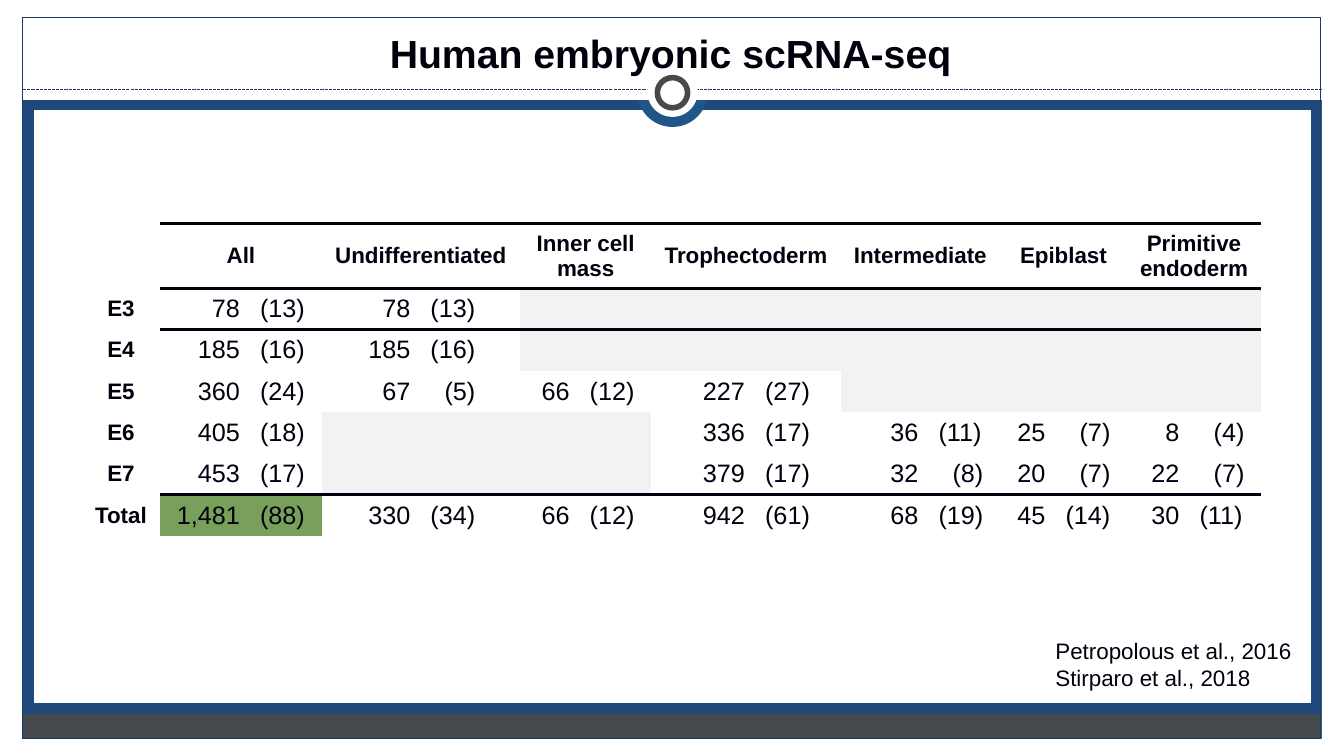
from dataclasses import dataclass
from typing import Optional

from lxml import etree
from pptx import Presentation
from pptx import util as u
from pptx.dml import color
from pptx.enum import dml, shapes, text
from pptx.oxml import ns

INK = "00010D"
WHITE = "FFFFFF"
NAVY = "1E3B66"
SLATE = "484A49"
SHADE = "F2F2F2"
GREEN = "78A05A"
FONT = "Arial"
RECT = shapes.MSO_SHAPE.RECTANGLE
OVAL = shapes.MSO_SHAPE.OVAL
NO_GRID_STYLE = "{2D5ABB26-0587-4C30-8999-92F81FD0307C}"
RULE_WIDTH = 2.25
MARGIN = 0.1
DIGIT_INDENT = 0.14


@dataclass
class Panel:
    kind: shapes.MSO_SHAPE
    left: float
    top: float
    width: float
    height: float
    fill: Optional[str] = None
    line: Optional[str] = None
    weight: float = 0.75
    opacity: int = 100


@dataclass
class Count:
    cells: str
    embryos: int


@dataclass
class Stage:
    label: str
    counts: list[Optional[Count]]
    edges: str = ""
    total_fill: Optional[str] = None


BACKDROP = [
    Panel(RECT, 0, 7.33, 13.33, 0.17, WHITE),
    Panel(RECT, 0, 0, 0.22, 7.5, WHITE),
    Panel(RECT, 13.11, 0, 0.22, 7.5, WHITE),
    Panel(RECT, 0.22, 7.08, 12.88, 0.25, SLATE, opacity=91),
    Panel(RECT, 0.34, 1.1, 12.66, 5.87, WHITE, WHITE),
    Panel(OVAL, 6.32, 0.56, 0.7, 0.7, "20558A"),
    Panel(RECT, 0, 0, 13.33, 0.99, WHITE),
]
MEDALLION = [
    Panel(OVAL, 6.42, 0.66, 0.5, 0.5, WHITE),
    Panel(RECT, 0.22, 0.17, 12.88, 7.16, line=NAVY),
    Panel(OVAL, 6.52, 0.77, 0.3, 0.3, WHITE, SLATE, 4),
]
LINEAGES = ["All", "Undifferentiated", "Inner cell\nmass", "Trophectoderm",
            "Intermediate", "Epiblast", "Primitive\nendoderm"]
COLUMN_WIDTHS = [0.78, 0.89, 0.71, 0.98, 0.99, 0.59, 0.71, 1.03,
                 0.85, 0.87, 0.71, 0.55, 0.71, 0.62, 0.71]
HEADER_HEIGHT = 0.64
STAGE_HEIGHT = 0.41
STAGES = [
    Stage("E3", [Count("78", 13), Count("78", 13)] + [None] * 5, "T"),
    Stage("E4", [Count("185", 16), Count("185", 16)] + [None] * 5),
    Stage("E5", [Count("360", 24), Count("67", 5), Count("66", 12),
                 Count("227", 27)] + [None] * 3),
    Stage("E6", [Count("405", 18), None, None, Count("336", 17),
                 Count("36", 11), Count("25", 7), Count("8", 4)]),
    Stage("E7", [Count("453", 17), None, None, Count("379", 17),
                 Count("32", 8), Count("20", 7), Count("22", 7)], "B"),
    Stage("Total", [Count("1,481", 88), Count("330", 34), Count("66", 12),
                    Count("942", 61), Count("68", 19), Count("45", 14),
                    Count("30", 11)], "T", GREEN),
]


def rgb(value: str) -> color.RGBColor:
    return color.RGBColor.from_string(value)


def paint(fill, value: Optional[str]) -> None:
    if value is None:
        fill.background()
    else:
        fill.solid()
        fill.fore_color.rgb = rgb(value)


def draw_panel(slide, panel: Panel) -> None:
    shape = slide.shapes.add_shape(
        panel.kind, u.Inches(panel.left), u.Inches(panel.top),
        u.Inches(panel.width), u.Inches(panel.height))
    shape.shadow.inherit = False
    paint(shape.fill, panel.fill)
    paint(shape.line.fill, panel.line)
    if panel.line:
        shape.line.width = u.Pt(panel.weight)
    if panel.opacity < 100:
        tint = shape.fill._xPr.find(".//" + ns.qn("a:srgbClr"))
        etree.SubElement(tint, ns.qn("a:alpha"), val=str(panel.opacity * 1000))


def draw_divider(slide) -> None:
    divider = slide.shapes.add_connector(
        shapes.MSO_CONNECTOR.STRAIGHT, u.Inches(0.23), u.Inches(0.89),
        u.Inches(13.11), u.Inches(0.89))
    divider.line.color.rgb = rgb(NAVY)
    divider.line.width = u.Pt(0.75)
    divider.line.dash_style = dml.MSO_LINE.SQUARE_DOT
    etree.SubElement(divider._element.spPr, ns.qn("a:effectLst"))


def write(frame, wording: str, size: float, bold: bool,
          align: text.PP_ALIGN) -> None:
    for index, line in enumerate(wording.split("\n")):
        paragraph = frame.add_paragraph() if index else frame.paragraphs[0]
        paragraph.alignment = align
        run = paragraph.add_run()
        run.text = line
        run.font.name = FONT
        run.font.size = u.Pt(size)
        run.font.bold = bold
        run.font.color.rgb = rgb(INK)


def add_words(slide, left: float, top: float, width: float, height: float,
              wording: str, size: float, bold: bool, align: text.PP_ALIGN,
              wrap: bool) -> None:
    frame = slide.shapes.add_textbox(
        u.Inches(left), u.Inches(top), u.Inches(width),
        u.Inches(height)).text_frame
    frame.word_wrap = wrap
    write(frame, wording, size, bold, align)


def style_cell(cell, edges: str = "", fill: Optional[str] = None) -> None:
    properties = cell._tc.get_or_add_tcPr()
    for edge in edges:
        rule = etree.SubElement(properties, ns.qn("a:ln" + edge),
                                w=str(u.Pt(RULE_WIDTH)))
        solid = etree.SubElement(rule, ns.qn("a:solidFill"))
        etree.SubElement(solid, ns.qn("a:srgbClr"), val=INK)
    paint(cell.fill, fill)
    cell.vertical_anchor = text.MSO_ANCHOR.MIDDLE


def fill_header(table) -> None:
    style_cell(table.cell(0, 0))
    for group, lineage in enumerate(LINEAGES):
        first, second = (table.cell(0, 2 * group + side) for side in (1, 2))
        style_cell(first, "TB")
        style_cell(second, "TB")
        first.merge(second)
        write(first.text_frame, lineage, 16, True, text.PP_ALIGN.CENTER)


def fill_stage(table, row: int, stage: Stage) -> None:
    label = table.cell(row, 0)
    style_cell(label)
    write(label.text_frame, stage.label, 16, True, text.PP_ALIGN.CENTER)
    for group, count in enumerate(stage.counts):
        number, embryos = (table.cell(row, 2 * group + side) for side in (1, 2))
        fill = SHADE if count is None else stage.total_fill if group == 0 else None
        style_cell(number, stage.edges, fill)
        style_cell(embryos, stage.edges, fill)
        if count is None:
            continue
        write(number.text_frame, count.cells, 18, False, text.PP_ALIGN.RIGHT)
        write(embryos.text_frame, f"({count.embryos})", 18, False,
              text.PP_ALIGN.LEFT)
        if count.embryos < 10:
            embryos.margin_left = u.Inches(MARGIN + DIGIT_INDENT)


def add_counts_table(slide) -> None:
    heights = [HEADER_HEIGHT] + [STAGE_HEIGHT] * len(STAGES)
    table = slide.shapes.add_table(
        len(heights), len(COLUMN_WIDTHS), u.Inches(0.81), u.Inches(2.22),
        u.Inches(sum(COLUMN_WIDTHS)), u.Inches(sum(heights))).table
    table.first_row = False
    table.horz_banding = False
    table._tbl.tblPr.find(ns.qn("a:tableStyleId")).text = NO_GRID_STYLE
    for column, width in zip(table.columns, COLUMN_WIDTHS):
        column.width = u.Inches(width)
    for row, height in zip(table.rows, heights):
        row.height = u.Inches(height)
    fill_header(table)
    for row, stage in enumerate(STAGES, start=1):
        fill_stage(table, row, stage)


def main() -> None:
    deck = Presentation()
    deck.slide_width, deck.slide_height = u.Inches(13.33), u.Inches(7.5)
    slide = deck.slides.add_slide(deck.slide_layouts[6])
    paint(slide.background.fill, "1F497D")
    for panel in BACKDROP:
        draw_panel(slide, panel)
    draw_divider(slide)
    for panel in MEDALLION:
        draw_panel(slide, panel)
    add_words(slide, 0.21, 0.24, 12.88, 0.83, "Human embryonic scRNA-seq",
              28, True, text.PP_ALIGN.CENTER, True)
    add_words(slide, 10.37, 6.27, 2.57, 0.64,
              "Petropolous et al., 2016\nStirparo et al., 2018",
              16, False, text.PP_ALIGN.LEFT, False)
    add_counts_table(slide)
    deck.save("out.pptx")


if __name__ == "__main__":
    main()
